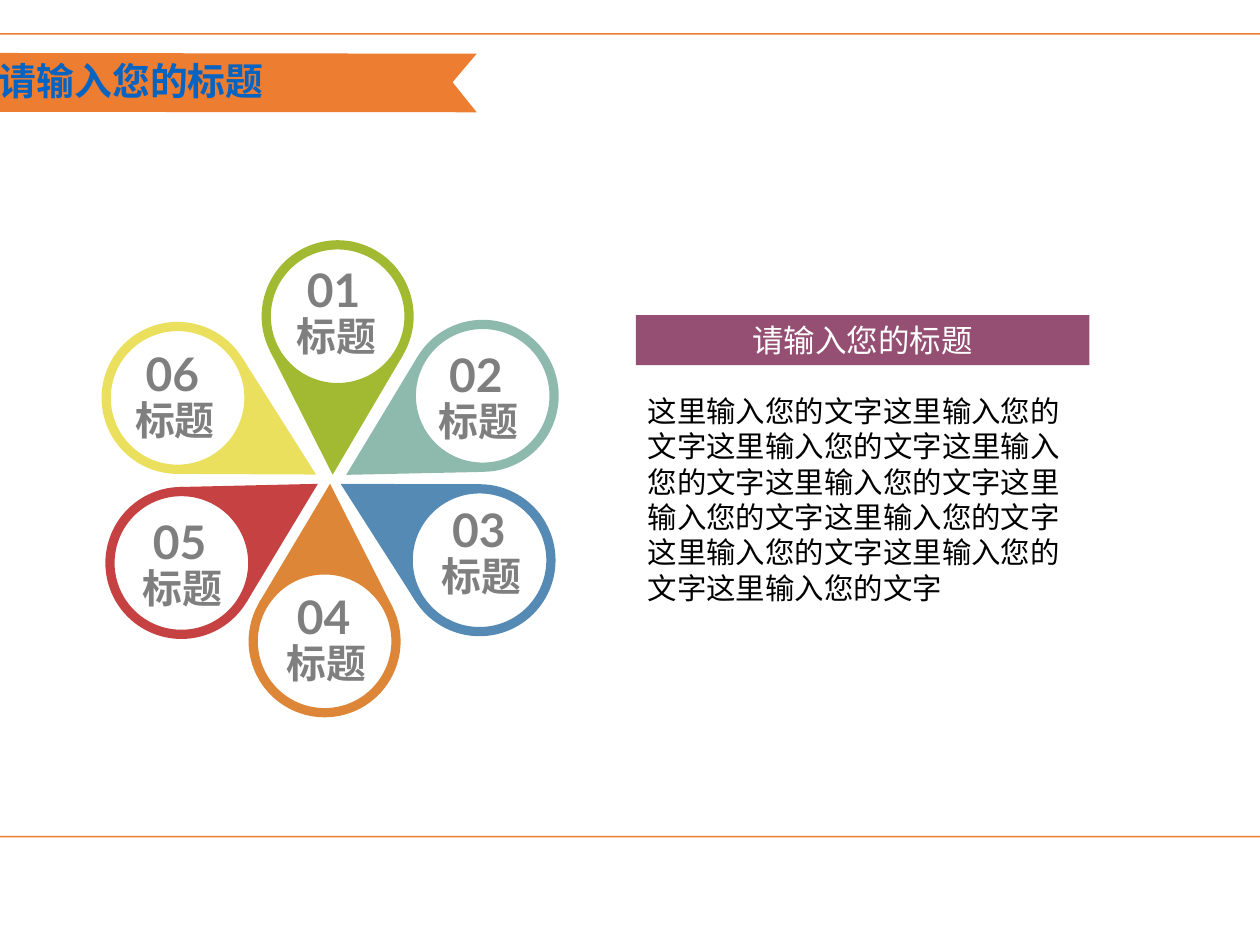
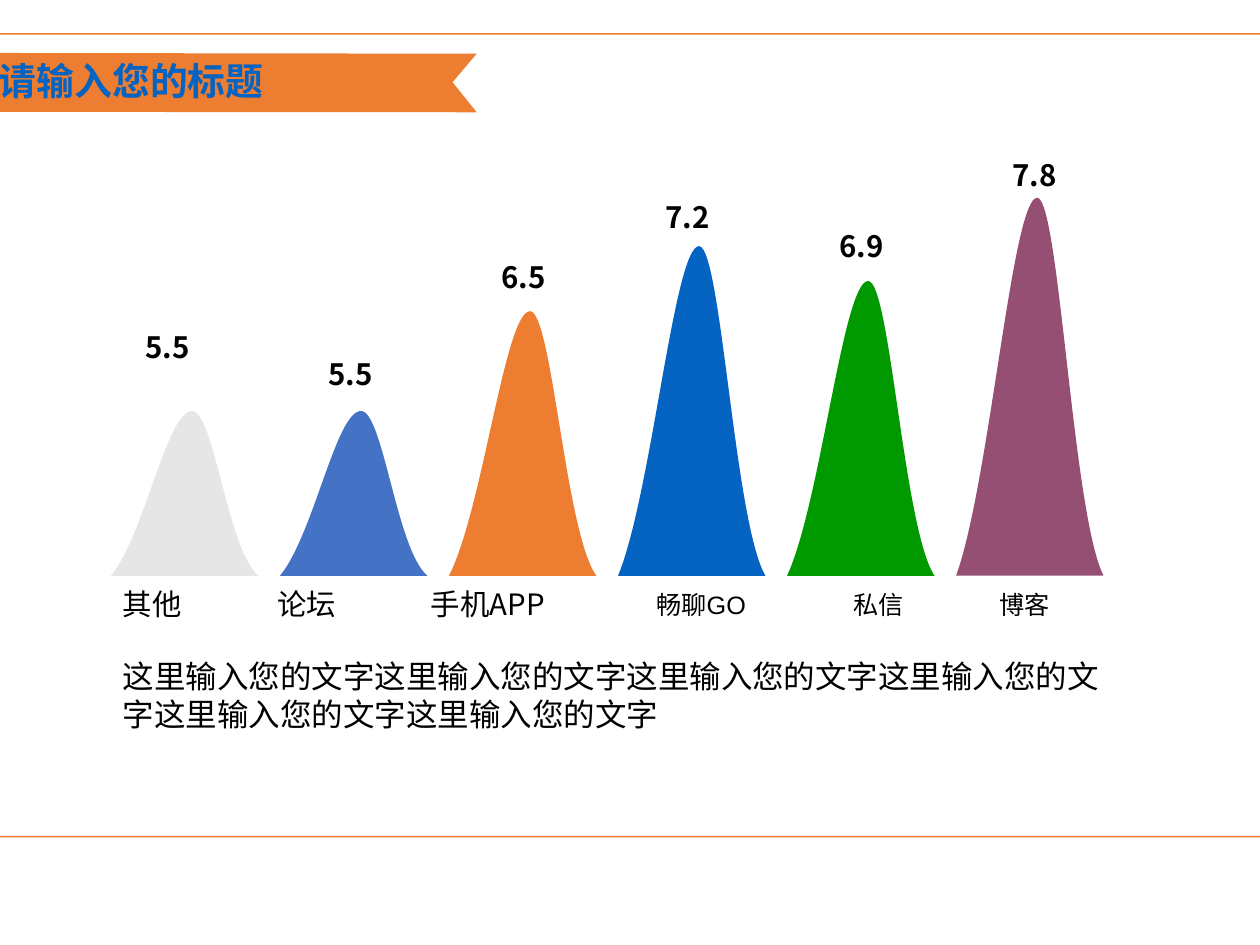
"""Two slides in one framed style: a six-petal wheel and a row of value peaks."""
import math

import lxml.etree
import pptx
import pptx.dml.color
import pptx.enum.shapes
import pptx.enum.text
import pptx.oxml.ns
import pptx.util

Pt = pptx.util.Pt
RGBColor = pptx.dml.color.RGBColor
SHAPE = pptx.enum.shapes.MSO_SHAPE
ALIGN = pptx.enum.text.PP_ALIGN
qn = pptx.oxml.ns.qn

WHITE = RGBColor(0xFF, 0xFF, 0xFF)
BLACK = RGBColor(0x00, 0x00, 0x00)
GRAY = RGBColor(0x7F, 0x7F, 0x7F)
SILVER = RGBColor(0xE7, 0xE6, 0xE6)
INDIGO = RGBColor(0x44, 0x72, 0xC4)
ORANGE = RGBColor(0xED, 0x7D, 0x31)
BLUE = RGBColor(0x05, 0x63, 0xC1)
GREEN = RGBColor(0x00, 0x99, 0x00)
PLUM = RGBColor(0x95, 0x4F, 0x72)
LIME = RGBColor(0xA2, 0xB9, 0x32)
SAGE = RGBColor(0x8E, 0xBA, 0xAE)
STEEL = RGBColor(0x55, 0x8A, 0xB5)
AMBER = RGBColor(0xDD, 0x86, 0x37)
RED = RGBColor(0xC6, 0x42, 0x42)
YELLOW = RGBColor(0xEA, 0xE0, 0x5E)

CJK, ARIAL, LATO = "Noto Sans CJK SC", "Arial", "Lato"

TITLE = "请输入您的标题"
FILLER = "这里输入您的文字"
BANNER = [(-35.3, 53.3), (227, 53.5), (215.5, 39.2), (227, 25.6), (-34.8, 25.2)]

PETAL_TITLE = "标题"
PETALS = [
    ("01", LIME, (158.4, 226.1), (160.8, 150.6), (140.4, 121.7)),
    ("02", SAGE, (164.9, 226.1), (229.9, 188.5), (208.1, 162)),
    ("03", STEEL, (162.2, 230.4), (228.4, 266.8), (209.5, 235.7)),
    ("04", AMBER, (157.2, 230.4), (154.6, 305.4), (135.6, 277.2)),
    ("05", RED, (151.4, 230.4), (86.4, 268.1), (67, 241.5)),
    ("06", YELLOW, (150.5, 226), (84.6, 189.5), (63.6, 161.5)),
]
RING_RADIUS, RING_WIDTH = 36.2, 4.4

PEAKS = [
    ("其他", "5.5", SILVER, 78.5, (52.6, 49.7), (63.4, 153.8), 14, ARIAL),
    ("论坛", "5.5", INDIGO, 78.5, (126.3, 49.7), (150.5, 166.6), 14, ARIAL),
    ("手机APP", "6.5", ORANGE, 126, (199.4, 83.5), (233, 120.5), 14, CJK),
    ("畅聊GO", "7.2", BLUE, 157, (306.7, 70.6), (311, 91.9), 12, ARIAL),
    ("私信", "6.9", GREEN, 140.4, (400.7, 45.4), (393.8, 105.5), 12, ARIAL),
    ("博客", "7.8", PLUM, 180, (470, 46.1), (476.3, 72), 12, ARIAL),
]
PEAK_LEFT, PEAK_STEP, PEAK_WIDTH, PEAK_BASE = 52.8, 80.5, 70.2, 274.2
PEAK_CURVES = [(0, 0), (0.23, 0.25), (0.38, 1), (0.55, 1), (0.7, 1), (0.79, 0.16), (1, 0)]


def paint(sp, fill, line=None):
    sp.shadow.inherit = False
    sp.fill.solid()
    sp.fill.fore_color.rgb = fill
    if line is None:
        sp.line.fill.background()
    else:
        sp.line.color.rgb = line
        sp.line.width = Pt(0.75)
    return sp


def add_shape(s, kind, box, fill, line=None):
    return paint(s.shapes.add_shape(kind, *map(Pt, box)), fill, line)


def add_outline(s, points, fill, curves=()):
    """Draw a closed outline; each index in curves starts three Bezier points."""
    start, *rest = [(Pt(x), Pt(y)) for x, y in points]
    builder = s.shapes.build_freeform(*start)
    builder.add_line_segments(rest, close=True)
    sp = builder.convert_to_shape()
    segments = list(sp._element.iter(qn("a:lnTo")))
    for i in curves:
        curve = lxml.etree.Element(qn("a:cubicBezTo"))
        segments[i - 1].addprevious(curve)
        for segment in segments[i - 1:i + 2]:
            curve.append(segment[0])
            segment.getparent().remove(segment)
    return paint(sp, fill)


def write(sp, text, size=14, font=CJK, color=BLACK, bold=False, align=ALIGN.LEFT, wrap=True):
    tf = sp.text_frame
    tf.word_wrap = wrap
    tf.auto_size = pptx.enum.text.MSO_AUTO_SIZE.SHAPE_TO_FIT_TEXT
    tf.margin_left = tf.margin_right = Pt(5.8)
    tf.margin_top = tf.margin_bottom = Pt(2.9)
    p = tf.paragraphs[0]
    p.alignment = align
    r = p.add_run()
    r.text = text
    r.font.size, r.font.name, r.font.bold = Pt(size), font, bold
    r.font.color.rgb = color
    lxml.etree.SubElement(r.font._element, qn("a:ea"), typeface=CJK)


def add_text(s, text, box, **style):
    write(s.shapes.add_textbox(*map(Pt, box)), text, **style)


def add_framed_slide(prs):
    s = prs.slides.add_slide(prs.slide_layouts[6])
    frame = add_shape(s, SHAPE.ROUNDED_RECTANGLE, (-20.2, 16.1, 643.7, 382.3), WHITE, ORANGE)
    frame.adjustments[0] = 0.027
    color = frame.fill._xPr.find(qn("a:solidFill"))[0]
    lxml.etree.SubElement(color, qn("a:alpha"), val="70000")
    add_outline(s, BANNER, ORANGE)
    add_text(s, TITLE, (-6.3, 24.5, 193.7, 27.4), size=18, font=ARIAL, color=BLUE, bold=True)
    return s


def tail_points(tip, center):
    dx, dy = tip[0] - center[0], tip[1] - center[1]
    heading, half = math.atan2(dy, dx), math.acos(RING_RADIUS / math.hypot(dx, dy))
    middle = RING_RADIUS - RING_WIDTH / 2
    pull = 4 / 3 * math.tan(half / 2)

    def at(radius, side, tangent=0):
        a = heading + side * half
        x = radius * (math.cos(a) + side * tangent * math.sin(a))
        y = radius * (math.sin(a) - side * tangent * math.cos(a))
        return center[0] + x, center[1] + y

    return [tip, at(RING_RADIUS, 1), at(middle, 1), at(middle, 1, pull),
            at(middle, -1, pull), at(middle, -1), at(RING_RADIUS, -1)]


def add_petal(s, number, color, tip, center, label):
    add_outline(s, tail_points(tip, center), color, curves=[3])
    size = 2 * RING_RADIUS
    box = (center[0] - RING_RADIUS, center[1] - RING_RADIUS, size, size)
    ring = add_shape(s, SHAPE.DONUT, box, color)
    ring.adjustments[0] = RING_WIDTH / size
    x, y = label
    add_text(s, number, (x, y, 40.3, 32.4), size=22, font=LATO, color=GRAY, bold=True, wrap=False)
    add_text(s, PETAL_TITLE, (x - 5, y + 24, 50.4, 28.8), size=19, color=GRAY, bold=True)


def add_peak(s, left, height, color):
    points = [(left + x * PEAK_WIDTH, PEAK_BASE - y * height) for x, y in PEAK_CURVES]
    add_outline(s, points, color, curves=[1, 4])


def build_wheel(prs):
    s = add_framed_slide(prs)
    for petal in PETALS:
        add_petal(s, *petal)
    heading = add_shape(s, SHAPE.RECTANGLE, (302.8, 150.1, 216, 23.8), PLUM)
    write(heading, TITLE, size=15, color=WHITE, align=ALIGN.CENTER)
    add_text(s, FILLER * 10, (302.6, 184.3, 216, 107.3))


def build_peaks(prs):
    s = add_framed_slide(prs)
    for i, (name, value, color, height, (left, width), spot, size, font) in enumerate(PEAKS):
        add_peak(s, PEAK_LEFT + i * PEAK_STEP, height, color)
        add_text(s, value, (*spot, 39.2, 23), bold=True)
        top = 276.2 if size == 14 else 277.8
        add_text(s, name, (left, top, width, size + 8.5), size=size, font=font)
    add_text(s, FILLER * 6, (52.6, 310, 486.7, 42.5), size=15)


def main():
    prs = pptx.Presentation()
    prs.slide_width, prs.slide_height = Pt(600), Pt(450)
    build_wheel(prs)
    build_peaks(prs)
    prs.save("out.pptx")


if __name__ == "__main__":
    main()
